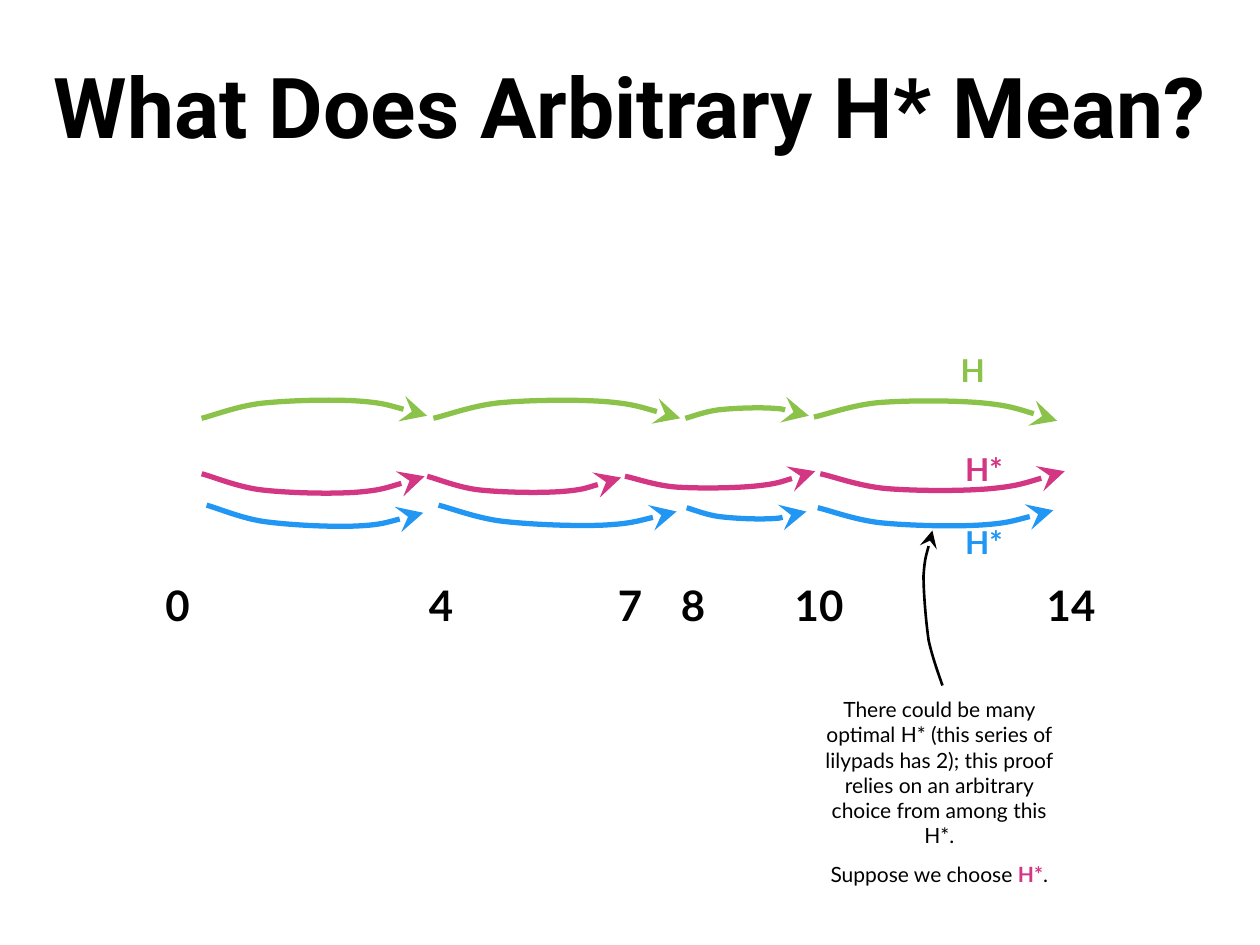
"""Build a slide comparing the hops of H with two optimal series H*."""
from math import cos, radians, sin

from pptx import Presentation
from pptx.dml.color import RGBColor
from pptx.enum.text import MSO_ANCHOR as Anchor, MSO_AUTO_SIZE as AutoSize, PP_ALIGN as Align
from pptx.oxml.ns import qn
from pptx.util import Inches, Pt
from lxml.etree import SubElement

COLORS = {"black": "000000", "green": "8BC34A", "pink": "D33682", "blue": "2196F3"}
TITLE = "What Does Arbitrary H* Mean?"
NOTE = [
    [("There could be many optimal H* (this series of lilypads has 2); "
      "this proof relies on an arbitrary choice from among this H*.", "black", False)],
    [("Suppose we choose ", "black", False), ("H*", "pink", True), (".", "black", False)],
]
LILYPADS = [("0", 1.41), ("4", 3.5), ("7", 5), ("8", 5.5), ("10", 6.5), ("14", 8.5)]
SERIES_LABELS = [("H", "green", 7.72, 2.94), ("H*", "pink", 7.81, 3.72),
                 ("H*", "blue", 7.81, 4.3)]
SERIES_TILT = {"green": 33.8, "pink": 145.5, "blue": 148.5}
SERIES_HOPS = {
    "green": [((1.6, 3.32), (3.39, 3.3), -0.13), ((3.44, 3.32), (5.4, 3.32), -0.14),
              ((5.44, 3.32), (6.42, 3.3), -0.07), ((6.46, 3.31), (8.39, 3.34), -0.14)],
    "pink": [((1.6, 3.76), (3.37, 3.78), 0.14), ((3.39, 3.78), (4.93, 3.79), 0.12),
             ((4.96, 3.78), (6.47, 3.74), 0.11), ((6.51, 3.76), (8.45, 3.74), 0.14)],
    "blue": [((1.64, 4.01), (3.36, 4.07), 0.13), ((3.48, 4.01), (5.37, 4.06), 0.13),
             ((5.45, 4.03), (6.4, 4.06), 0.07), ((6.49, 4.03), (8.36, 4.05), 0.13)],
}
HOP_PROFILE = [(0, 0), (0.05, 0.15), (0.16, 0.73), (0.27, 0.88), (0.39, 1.03),
               (0.57, 1.07), (0.69, 0.95), (0.81, 0.82), (0.95, 0.2), (1, 0)]
POINTER = [(7.48, 5.44), (7.46, 5.38), (7.4, 5.22), (7.37, 5.08), (7.35, 4.94),
           (7.33, 4.71), (7.33, 4.57), (7.34, 4.42), (7.39, 4.27), (7.4, 4.21)]
POINTER_TILT = 309.5


def write(box, paragraphs, *, size, font="Lato", anchor=Anchor.MIDDLE, gap=0):
    """Fill a box with centred paragraphs of (text, color, bold) runs."""
    frame = box.text_frame
    frame.word_wrap = True
    frame.auto_size = AutoSize.NONE
    frame.vertical_anchor = anchor
    frame.margin_left = frame.margin_right = Inches(0.1)
    frame.margin_top = frame.margin_bottom = Inches(0.1)
    for index, runs in enumerate(paragraphs):
        paragraph = frame.add_paragraph() if index else frame.paragraphs[0]
        paragraph.alignment = Align.CENTER
        paragraph.space_before = Pt(gap if index else 0)
        for text, color, bold in runs:
            run = paragraph.add_run()
            run.text = text
            run.font.name, run.font.size, run.font.bold = font, Pt(size), bold
            run.font.color.rgb = RGBColor.from_string(COLORS[color])


def add_box(slide, left, top, width, height):
    """Add a text box measured in inches."""
    return slide.shapes.add_textbox(*map(Inches, (left, top, width, height)))


def add_label(slide, text, color, center, middle, width, size):
    """Add a bold one-line label around a center point."""
    box = add_box(slide, center - width / 2, middle - 0.28, width, 0.56)
    write(box, [[(text, color, True)]], size=size)


def hop_points(start, end, depth):
    """Bend the hop profile around the chord from start to end."""
    (x0, y0), (x1, y1) = start, end
    return [(x0 + (x1 - x0) * along, y0 + (y1 - y0) * along + depth * bend)
            for along, bend in HOP_PROFILE]


def turn(point, degrees):
    """Rotate a point clockwise about the slide's corner."""
    (x, y), angle = point, radians(degrees)
    return x * cos(angle) - y * sin(angle), x * sin(angle) + y * cos(angle)


def add_curved_arrow(slide, points, color, weight, tilt):
    """Draw a Bézier chain in a tilted frame, with an arrowhead at its end."""
    start, *rest = [tuple(map(Inches, turn(point, -tilt))) for point in points]
    builder = slide.shapes.build_freeform(*start)
    builder.add_line_segments(rest, close=False)
    arrow = builder.convert_to_shape()
    center, middle = turn((arrow.left + arrow.width / 2, arrow.top + arrow.height / 2), tilt)
    arrow.left = round(center - arrow.width / 2)
    arrow.top = round(middle - arrow.height / 2)
    arrow.rotation = tilt
    arrow.shadow.inherit = False
    arrow.fill.background()
    arrow.line.color.rgb = RGBColor.from_string(COLORS[color])
    arrow.line.width = Pt(weight)
    outline = arrow.element.find(".//" + qn("a:path"))
    segments = outline.findall(qn("a:lnTo"))
    for first in range(0, len(segments), 3):
        curve = SubElement(outline, qn("a:cubicBezTo"))
        for segment in segments[first:first + 3]:
            curve.append(segment[0])
            outline.remove(segment)
    SubElement(arrow.element.spPr.find(qn("a:ln")), qn("a:tailEnd"),
               type="stealth", w="lg", len="lg")


def main():
    """Assemble and save the slide."""
    deck = Presentation()
    deck.slide_width, deck.slide_height = Inches(10), Inches(7.5)
    slide = deck.slides.add_slide(deck.slide_layouts[5])
    title = slide.shapes.title
    title.left, title.top, title.width, title.height = map(Inches, (0, 0.33, 10, 1.25))
    write(title, [[(TITLE, "black", True)]], size=48, font="Roboto", anchor=Anchor.TOP)
    for number, center in LILYPADS:
        add_label(slide, number, "black", center, 4.8, 0.4 + 0.16 * len(number), 24)
    for color, hops in SERIES_HOPS.items():
        for hop in hops:
            add_curved_arrow(slide, hop_points(*hop), color, 3, SERIES_TILT[color])
    for text, color, center, middle in SERIES_LABELS:
        add_label(slide, text, color, center, middle, 0.36 + 0.12 * len(text), 18)
    write(add_box(slide, 6.37, 5.43, 2.17, 1.45), NOTE, size=12, anchor=Anchor.TOP, gap=7.5)
    add_curved_arrow(slide, POINTER, "black", 1.5, POINTER_TILT)
    deck.save("out.pptx")


if __name__ == "__main__":
    main()
